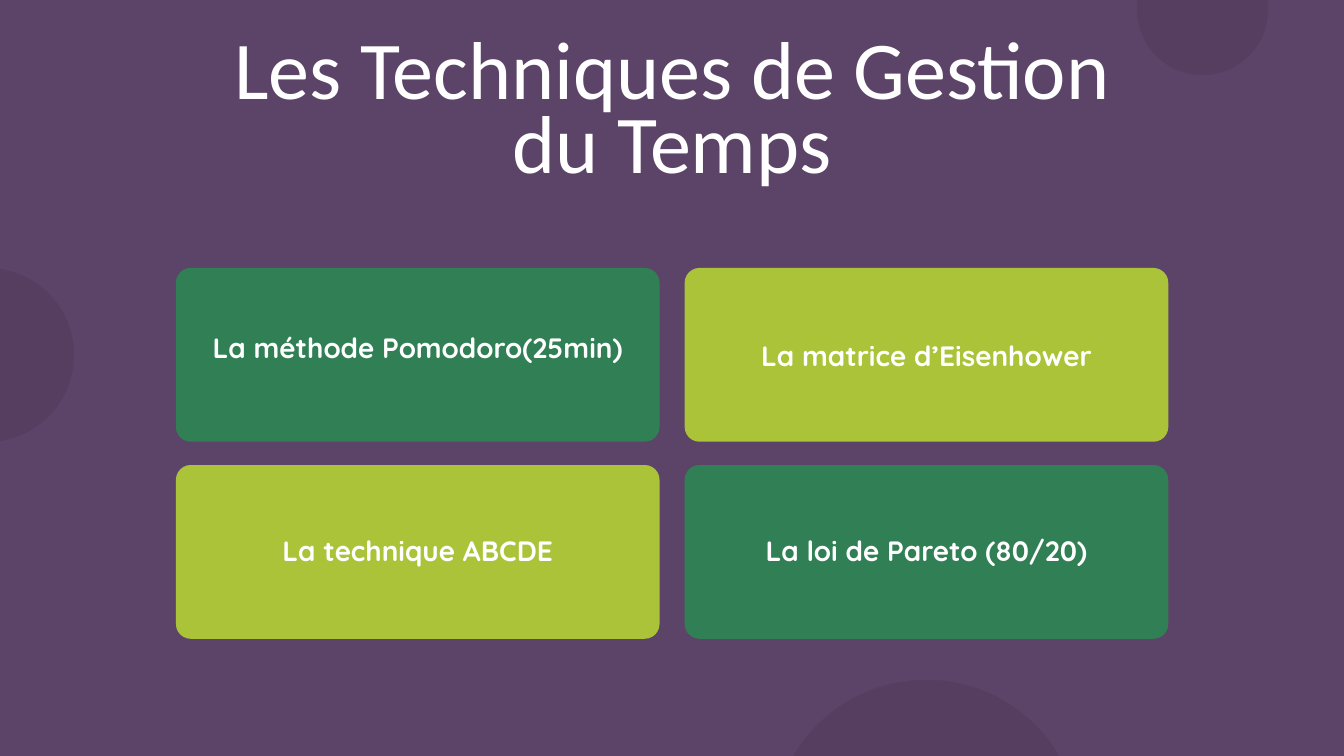
from pptx import Presentation
from pptx.dml.color import RGBColor
from pptx.enum import shapes, text
from pptx.util import Cm, Pt

COLOURS = {
    "background": "5C4368",
    "circle": "553E60",
    "green": "317F54",
    "lime": "ABC339",
    "white": "FFFFFF",
}


class Slide:
    """Holds the style and the page being drawn."""

    title_font = "Calibri"
    label_font = "Quicksand"

    def __init__(self, deck):
        self.page = deck.slides.add_slide(deck.slide_layouts[5])
        self.paint(self.page.background, "background")

    def paint(self, target, colour):
        target.fill.solid()
        target.fill.fore_color.rgb = RGBColor.from_string(COLOURS[colour])

    def shape(self, kind, left, top, width, height, colour):
        box = self.page.shapes.add_shape(
            kind, Cm(left), Cm(top), Cm(width), Cm(height))
        self.paint(box, colour)
        box.line.fill.background()
        box.shadow.inherit = False
        return box

    def circle(self, left, top, size):
        self.shape(shapes.MSO_SHAPE.OVAL, left, top, size, size, "circle")

    def card(self, left, top, width, height, colour):
        box = self.shape(shapes.MSO_SHAPE.ROUNDED_RECTANGLE,
                         left, top, width, height, colour)
        box.adjustments[0] = 0.085

    def set_words(self, box, words, font, size, spacing, bold=False):
        frame = box.text_frame
        frame.text = words
        frame.word_wrap = True
        frame.auto_size = text.MSO_AUTO_SIZE.NONE
        frame.vertical_anchor = text.MSO_ANCHOR.TOP
        frame.margin_left = frame.margin_right = 0
        frame.margin_top = frame.margin_bottom = 0
        para = frame.paragraphs[0]
        para.alignment = text.PP_ALIGN.CENTER
        para.line_spacing = Pt(spacing)
        for span in para.runs:
            span.font.name = font
            span.font.size = Pt(size)
            span.font.bold = bold
            span.font.color.rgb = RGBColor.from_string(COLOURS["white"])

    def title(self, words, left, top, width, height):
        box = self.page.shapes.title
        box.left, box.top = Cm(left), Cm(top)
        box.width, box.height = Cm(width), Cm(height)
        self.set_words(box, words, self.title_font, 88, 79.2)

    def label(self, words, left, top, width, height):
        box = self.page.shapes.add_textbox(
            Cm(left), Cm(top), Cm(width), Cm(height))
        self.set_words(box, words, self.label_font, 30, 42, bold=True)


def main():
    deck = Presentation()
    deck.slide_width, deck.slide_height = Cm(50.8), Cm(28.58)
    slide = Slide(deck)

    # Background circles
    for left, top, size in [(-3.78, 10.13, 6.58), (42.98, -2.11, 4.95),
                            (29.18, 25.7, 11.66)]:
        slide.circle(left, top, size)

    # Title
    slide.title("Les Techniques de Gestion du Temps", 8.13, 1.6, 34.54, 9.04)

    # Two by two cards, colours alternating, each with its label
    card_width, card_height = 18.28, 6.57
    column_step, row_step = 19.23, 7.45
    techniques = [
        ("La méthode Pomodoro(25min)", 2.16),
        ("La matrice d’Eisenhower", 2.47),
        ("La technique ABCDE", 2.38),
        ("La loi de Pareto (80/20)", 2.38),
    ]
    for index, (words, drop) in enumerate(techniques):
        row, column = divmod(index, 2)
        left = 6.65 + column * column_step
        top = 10.13 + row * row_step
        colour = "green" if row == column else "lime"
        slide.card(left, top, card_width, card_height, colour)
        slide.label(words, left + 1.17, top + drop, 15.94, 1.45)

    deck.save("out.pptx")


if __name__ == "__main__":
    main()
